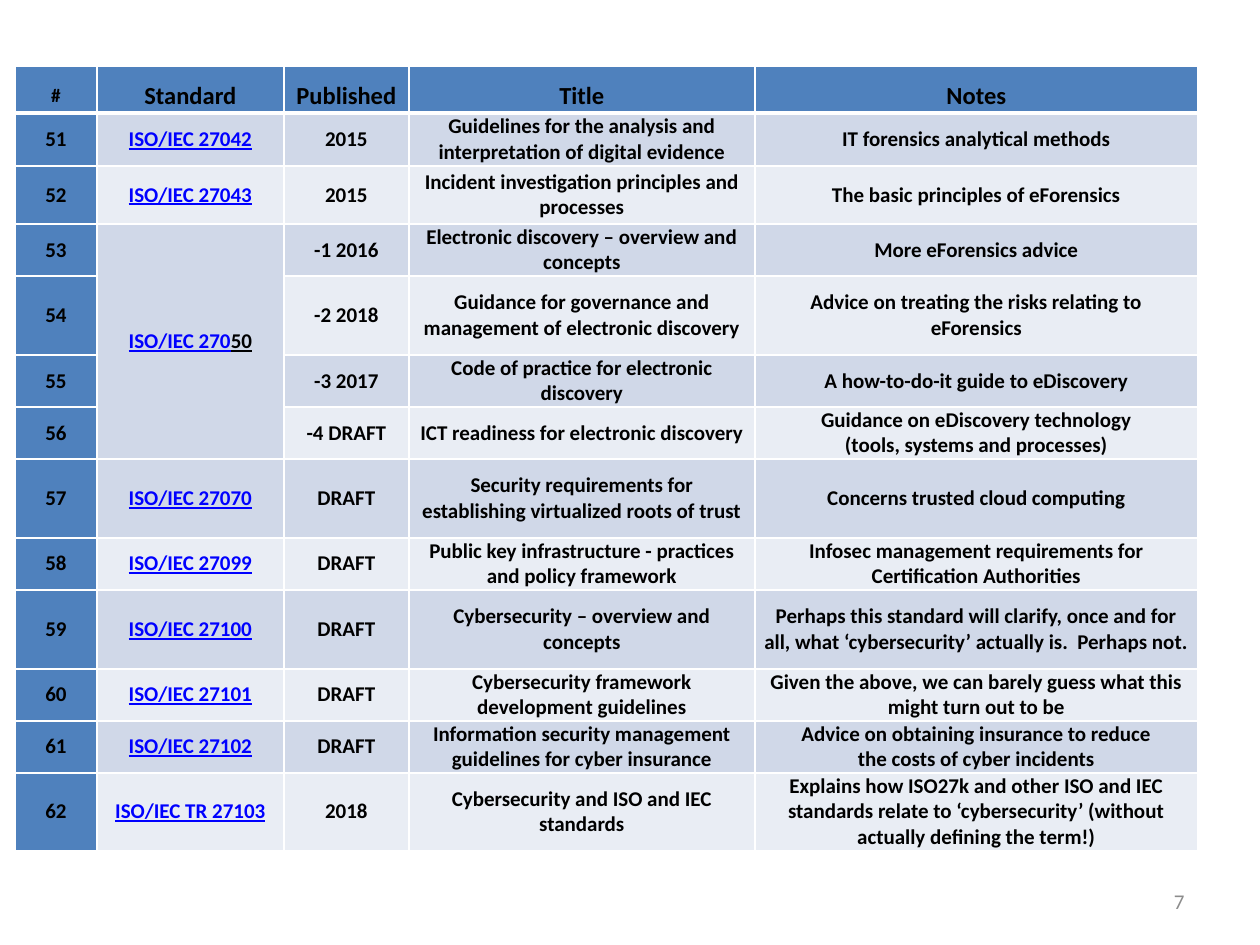
"""Build a slide with a table of ISO/IEC security standards 51 to 62."""
from lxml.etree import SubElement
from pptx import Presentation
from pptx.dml.color import RGBColor
from pptx.enum.text import MSO_ANCHOR, PP_ALIGN
from pptx.oxml.ns import qn
from pptx.util import Emu, Pt

SCALE = 914400 // 126
BLACK, WHITE, GREY = "000000", "FFFFFF", "8C8C8C"
HEADER, LINK = "4F81BD", "0000FF"
BANDS = ("E9EDF4", "D0D8E8")


def px(length):
    return Emu(length * SCALE)


def color(value):
    return RGBColor.from_string(value)


def write(frame, text, size=12, fill=BLACK, bold=True, underline=False,
          align=PP_ALIGN.CENTER, before=0, after=0, spacing=1.0, tail=""):
    para = frame.paragraphs[0]
    para.alignment = align
    para.space_before, para.space_after = Pt(before), Pt(after)
    para.line_spacing = spacing
    pieces = [(line, fill) for line in text.split("\n")]
    if tail:
        pieces.append((tail, BLACK))
    for index, (piece, piece_fill) in enumerate(pieces):
        if index and not tail:
            para.add_line_break()
        span = para.add_run()
        span.text = piece
        span.font.name, span.font.size = "Calibri", Pt(size)
        span.font.bold, span.font.underline = bold, underline
        span.font.color.rgb = color(piece_fill)


class StandardsSlide:
    def __init__(self, deck):
        self.page = deck.slides.add_slide(deck.slide_layouts[6])

    def text(self, content, left, top, width, height, **style):
        box = self.page.shapes.add_textbox(px(left), px(top), px(width), px(height))
        frame = box.text_frame
        frame.word_wrap = True
        frame.vertical_anchor = MSO_ANCHOR.MIDDLE
        write(frame, content, **style)

    def table(self, left, top, widths, heights):
        frame = self.page.shapes.add_table(
            len(heights), len(widths), px(left), px(top),
            px(sum(widths)), px(sum(heights)))
        table = frame.table
        for column, width in zip(table.columns, widths):
            column.width = px(width)
        for row, height in zip(table.rows, heights):
            row.height = px(height)
        return table

    def cell(self, cell, fill, borders, anchor=MSO_ANCHOR.MIDDLE):
        cell.margin_left = cell.margin_right = px(9)
        cell.margin_top = cell.margin_bottom = 0
        cell.vertical_anchor = anchor
        properties = cell._tc.get_or_add_tcPr()
        for side, width in zip("LRTB", borders):
            line = SubElement(properties, qn(f"a:ln{side}"), w=str(Pt(width)))
            paint = SubElement(line, qn("a:solidFill"))
            SubElement(paint, qn("a:srgbClr"), val=WHITE)
        cell.fill.solid()
        cell.fill.fore_color.rgb = color(fill)


HEADINGS = ["#", "Standard", "Published", "Title", "Notes"]
STANDARDS = [
    ("ISO/IEC 27042", "2015", "Guidelines for the analysis and interpretation of digital evidence",
     "IT forensics analytical methods"),
    ("ISO/IEC 27043", "2015", "Incident investigation principles and processes",
     "The basic principles of eForensics"),
    ("ISO/IEC 270", "-1 2016", "Electronic discovery – overview and concepts",
     "More eForensics advice"),
    ("", "-2 2018", "Guidance for governance and management of electronic discovery",
     "Advice on treating the risks relating to eForensics"),
    ("", "-3 2017", "Code of practice for electronic discovery",
     "A how-to-do-it guide to eDiscovery"),
    ("", "-4 DRAFT", "ICT readiness for electronic discovery",
     "Guidance on eDiscovery technology\n(tools, systems and processes)"),
    ("ISO/IEC 27070", "DRAFT", "Security requirements for establishing virtualized roots of trust",
     "Concerns trusted cloud computing"),
    ("ISO/IEC 27099", "DRAFT", "Public key infrastructure - practices and policy framework",
     "Infosec management requirements for\nCertification Authorities"),
    ("ISO/IEC 27100", "DRAFT", "Cybersecurity – overview and concepts",
     "Perhaps this standard will clarify, once and for all, "
     "what ‘cybersecurity’ actually is.  Perhaps not."),
    ("ISO/IEC 27101", "DRAFT", "Cybersecurity framework development guidelines",
     "Given the above, we can barely guess what this might turn out to be"),
    ("ISO/IEC 27102", "DRAFT", "Information security management guidelines for cyber insurance",
     "Advice on obtaining insurance to reduce\nthe costs of cyber incidents"),
    ("ISO/IEC TR 27103", "2018", "Cybersecurity and ISO and IEC standards",
     "Explains how ISO27k and other ISO and IEC standards relate to "
     "‘cybersecurity’ (without actually defining the term!)"),
]
FIRST_NUMBER = 51
MULTIPART_ROW, PART_COUNT = 3, 4

deck = Presentation()
deck.slide_width, deck.slide_height = px(1260), px(945)
slide = StandardsSlide(deck)

table = slide.table(15, 66, [82, 187, 125, 346, 443],
                    [47, 53, 58, 52, 79, 52, 52, 79, 52, 79, 52, 52, 78])
table.cell(MULTIPART_ROW, 1).merge(table.cell(MULTIPART_ROW + PART_COUNT - 1, 1))

for column, heading in enumerate(HEADINGS):
    cell = table.cell(0, column)
    if column:
        slide.cell(cell, HEADER, (1, 1, 1, 3), anchor=MSO_ANCHOR.TOP)
        write(cell.text_frame, heading, size=14, before=4, spacing=1.5)
    else:
        slide.cell(cell, HEADER, (1, 1, 1, 3))
        write(cell.text_frame, heading, size=11, before=7.2, after=7.2, spacing=1.5)

for row, standard in enumerate(STANDARDS, start=1):
    values = (str(FIRST_NUMBER + row - 1), *standard)
    for column, value in enumerate(values):
        cell = table.cell(row, column)
        fill = BANDS[row % 2] if column else HEADER
        slide.cell(cell, fill, (1, 1, 3 if row == 1 else 1, 1))
        if not value:
            continue
        gap = 3 if column == 3 else 7.2
        is_link = column == 1
        write(cell.text_frame, value, fill=LINK if is_link else BLACK,
              underline=is_link, before=gap, after=gap,
              tail="50" if is_link and row == MULTIPART_ROW else "")

slide.text("7", 903, 876, 294, 50, fill=GREY, bold=False, align=PP_ALIGN.RIGHT)
deck.save("out.pptx")
